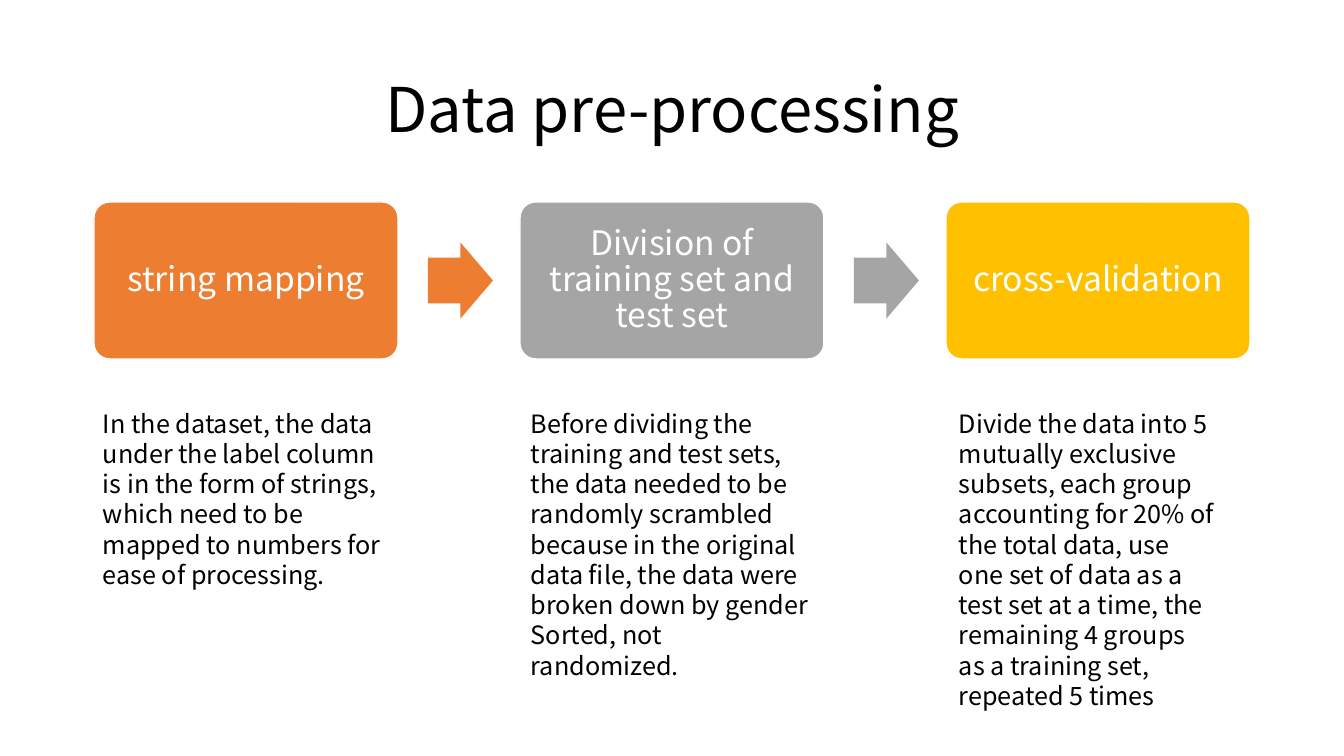
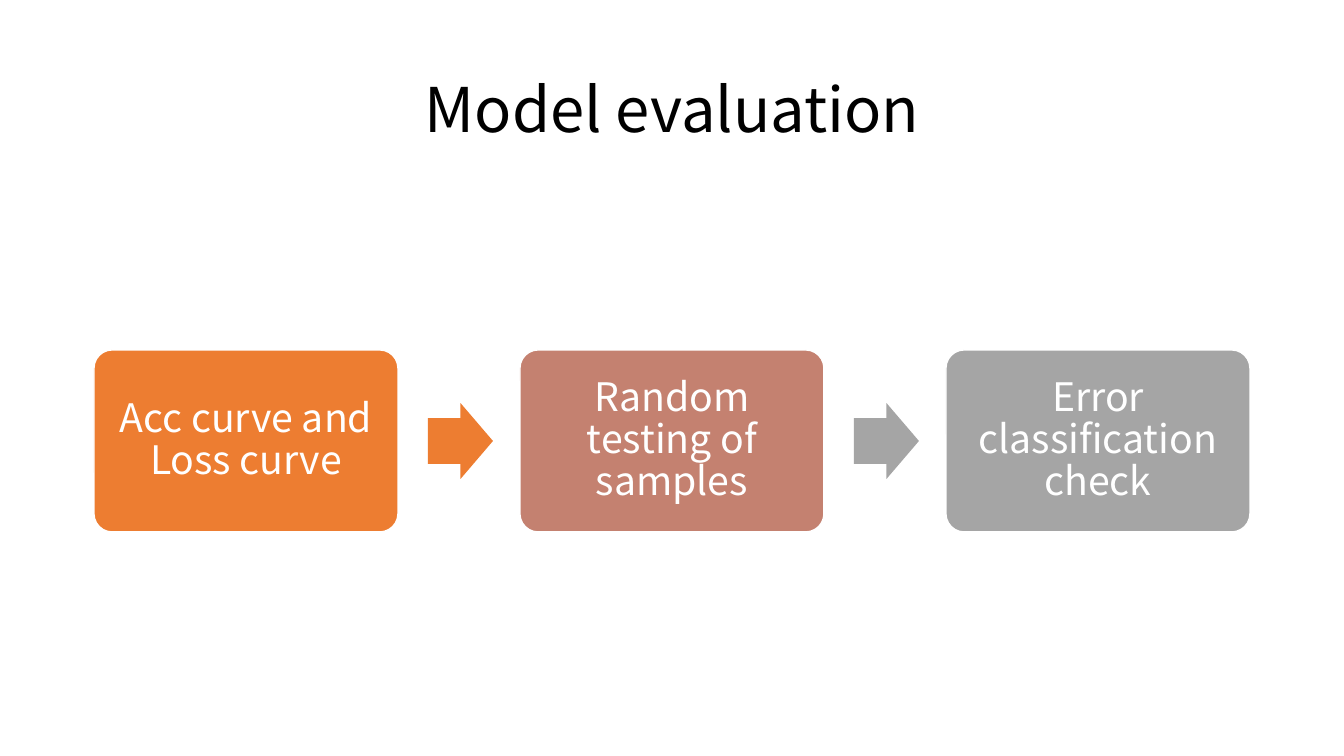
from collections import namedtuple
from dataclasses import dataclass

from pptx import Presentation
from pptx.dml.color import RGBColor
from pptx.enum.shapes import MSO_SHAPE as Shape
from pptx.enum.text import MSO_ANCHOR as Anchor, MSO_AUTO_SIZE as AutoSize, PP_ALIGN as Align
from pptx.util import Emu, Pt

Box = namedtuple("Box", "left top width height")
Step = namedtuple("Step", "label colour")
Note = namedtuple("Note", "text width height")


@dataclass(frozen=True)
class Theme:
    """Hold the colours, font and type sizes the slides share."""
    font: str = "Noto Sans CJK SC"
    ink: str = "000000"
    paper: str = "FFFFFF"
    orange: str = "ED7D31"
    grey: str = "A5A5A5"
    gold: str = "FFC000"
    rose: str = "C48170"
    title_size: int = 44
    note_size: int = 18


THEME = Theme()
PX_PER_INCH = 100.8
SLIDE_WIDTH, SLIDE_HEIGHT = 1344, 756
TITLE_BOX = Box(93, 40, 1159, 146)
CARD_WIDTH, CARD_GAP = 304, 122
ARROW_WIDTH, ARROW_HEIGHT, ARROW_OFFSET = 65, 76, 30
NOTE_LEFT, NOTE_TOP, NOTE_PITCH = 93, 403, 428


def px(length):
    """Turn a length in pixels into EMU."""
    return Emu(round(length * 914400 / PX_PER_INCH))


def place(box):
    """Turn a box in pixels into EMU lengths."""
    return [px(length) for length in box]


def apply(target, values):
    """Set each attribute named in a dict of format values."""
    for name, value in values.items():
        setattr(target, name, value)


def write_text(shape, text, size, colour, frame_format, paragraph_format):
    """Write one formatted paragraph into a shape."""
    frame = shape.text_frame
    apply(frame, {"word_wrap": True, **frame_format})
    paragraph = frame.paragraphs[0]
    apply(paragraph, paragraph_format)
    run = paragraph.add_run()
    run.text = text
    apply(run.font, {"name": THEME.font, "size": Pt(size)})
    run.font.color.rgb = RGBColor.from_string(colour)


def add_filled_shape(slide, kind, box, colour, adjustments):
    """Add a flat preset shape without an outline."""
    shape = slide.shapes.add_shape(kind, *place(box))
    shape.shadow.inherit = False
    shape.fill.solid()
    shape.fill.fore_color.rgb = RGBColor.from_string(colour)
    shape.line.fill.background()
    for index, value in enumerate(adjustments):
        shape.adjustments[index] = value
    return shape


def add_titled_slide(presentation, title):
    """Add a slide with a centred title."""
    slide = presentation.slides.add_slide(presentation.slide_layouts[5])
    shape = slide.shapes.title
    apply(shape, dict(zip(Box._fields, place(TITLE_BOX))))
    write_text(shape, title, THEME.title_size, THEME.ink,
               {"vertical_anchor": Anchor.MIDDLE, "auto_size": AutoSize.NONE},
               {"alignment": Align.CENTER, "line_spacing": 0.9})
    return slide


def add_card(slide, box, step, size, inset):
    """Add a rounded card with its label in the middle."""
    card = add_filled_shape(slide, Shape.ROUNDED_RECTANGLE, box, step.colour, [0.1])
    card.line.color.rgb = RGBColor.from_string(THEME.paper)
    card.line.width = Pt(1)
    margins = {f"margin_{side}": px(inset) for side in ("left", "top", "right", "bottom")}
    write_text(card, step.label, size, THEME.paper,
               {"vertical_anchor": Anchor.MIDDLE, **margins},
               {"alignment": Align.CENTER, "line_spacing": 0.9})


def add_process(slide, box, steps, arrow_colours, size, inset):
    """Add a row of cards with block arrows in the gaps."""
    for index, step in enumerate(steps):
        left = box.left + index * (CARD_WIDTH + CARD_GAP)
        add_card(slide, Box(left, box.top, CARD_WIDTH, box.height), step, size, inset)
        if index < len(arrow_colours):
            arrow_box = Box(left + CARD_WIDTH + ARROW_OFFSET,
                            box.top + (box.height - ARROW_HEIGHT) / 2,
                            ARROW_WIDTH, ARROW_HEIGHT)
            add_filled_shape(slide, Shape.RIGHT_ARROW, arrow_box,
                             arrow_colours[index], [0.6, 0.5])


def add_notes_row(slide, left, top, notes):
    """Add one explanatory text under each card."""
    for index, note in enumerate(notes):
        box = Box(left + index * NOTE_PITCH, top, note.width, note.height)
        write_text(slide.shapes.add_textbox(*place(box)), note.text,
                   THEME.note_size, THEME.ink,
                   {"auto_size": AutoSize.SHAPE_TO_FIT_TEXT}, {"alignment": Align.LEFT})


def build_preprocessing(presentation):
    """Build the slide on data preparation."""
    slide = add_titled_slide(presentation, "Data pre-processing")
    steps = [
        Step("string mapping", THEME.orange),
        Step("Division of training set and test set", THEME.grey),
        Step("cross-validation", THEME.gold),
    ]
    add_process(slide, Box(94, 202, 1156, 157), steps, [THEME.orange, THEME.grey], 24, 10)
    notes = [
        Note("In the dataset, the data under the label column is in the form of strings, "
             "which need to be mapped to numbers for ease of processing.", 310, 194),
        Note("Before dividing the training and test sets, the data needed to be randomly "
             "scrambled because in the original data file, the data were broken down by "
             "gender Sorted, not randomized.", 299, 254),
        Note("Divide the data into 5 mutually exclusive subsets, each group accounting for "
             "20% of the total data, use one set of data as a test set at a time, the "
             "remaining 4 groups as a training set, repeated 5 times", 278, 285),
    ]
    add_notes_row(slide, NOTE_LEFT, NOTE_TOP, notes)


def build_evaluation(presentation):
    """Build the slide on model evaluation."""
    slide = add_titled_slide(presentation, "Model evaluation")
    steps = [
        Step("Acc curve and Loss curve", THEME.orange),
        Step("Random testing of samples", THEME.rose),
        Step("Error classification check", THEME.grey),
    ]
    add_process(slide, Box(94, 350, 1156, 182), steps, [THEME.orange, THEME.grey], 28, 12)


def main():
    """Build and save the presentation."""
    presentation = Presentation()
    apply(presentation, {"slide_width": px(SLIDE_WIDTH), "slide_height": px(SLIDE_HEIGHT)})
    build_preprocessing(presentation)
    build_evaluation(presentation)
    presentation.save("out.pptx")


if __name__ == "__main__":
    main()
